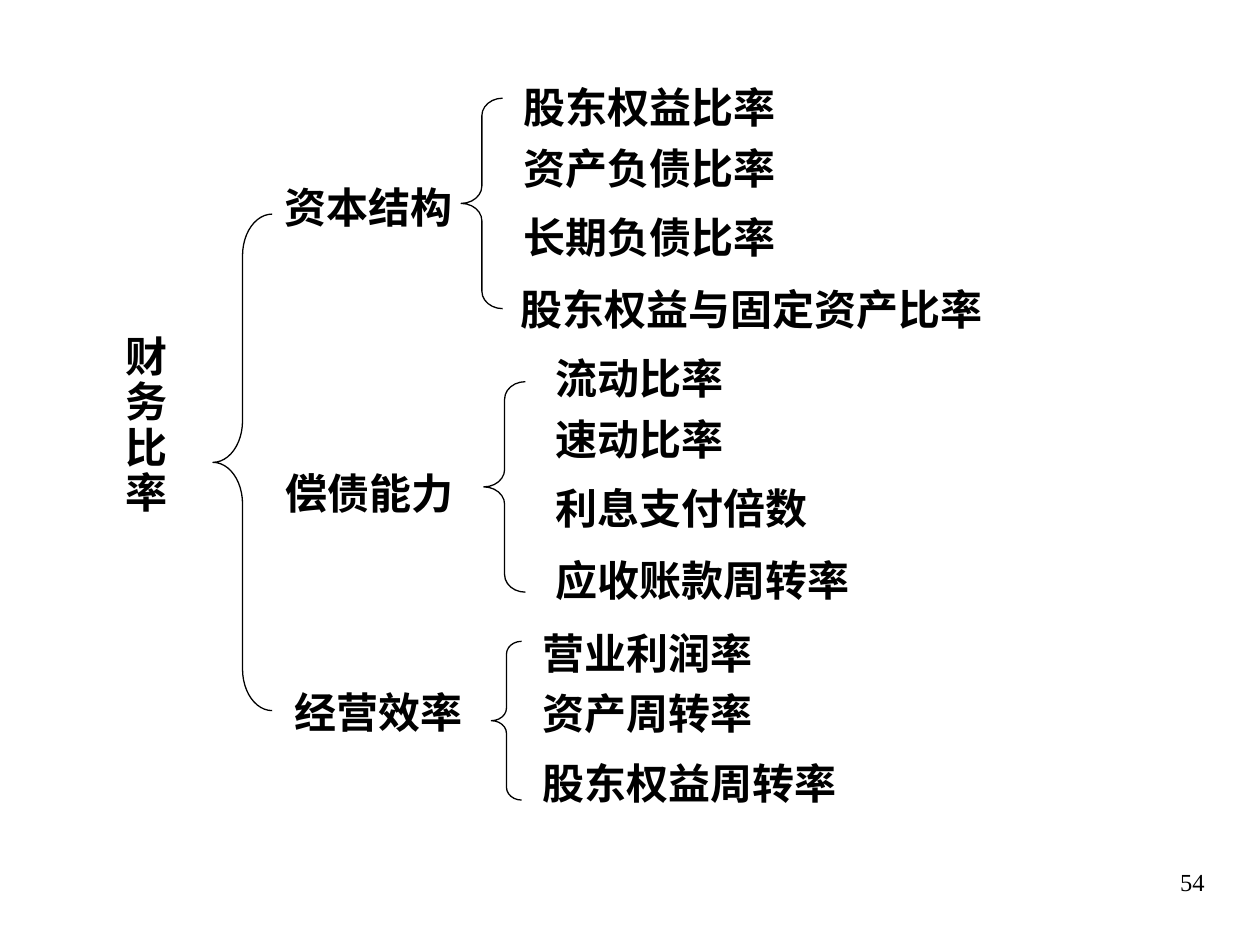
from lxml.etree import SubElement
from pptx import Presentation
from pptx.dml.color import RGBColor as RGB
from pptx.enum.shapes import MSO_SHAPE as SHAPE
from pptx.enum.text import MSO_AUTO_SIZE as FIT, PP_ALIGN as ALIGN
from pptx.oxml.ns import qn
from pptx.util import Inches, Pt

COLORS = {"ink": "000000", "paper": "FFFFFF"}
CJK = "Noto Sans CJK SC"

prs = Presentation()
prs.slide_width, prs.slide_height = Inches(10), Inches(7.5)
COL, ROW = prs.slide_width / 100, prs.slide_height / 75
s = prs.slides.add_slide(prs.slide_layouts[6])
s.background.fill.solid()
s.background.fill.fore_color.rgb = RGB.from_string(COLORS["paper"])


def add_text(text, x, y, w, h=5, font=CJK, size=24, bold=True):
    sp = s.shapes.add_textbox(round(x * COL), round(y * ROW), round(w * COL), round(h * ROW))
    tf = sp.text_frame
    tf.word_wrap = True
    tf.auto_size = FIT.SHAPE_TO_FIT_TEXT if bold else FIT.NONE
    p = tf.paragraphs[0]
    r = p.add_run()
    r.text = text
    r.font.size, r.font.bold, r.font.name = Pt(size), bold, font
    r.font.color.rgb = RGB.from_string(COLORS["ink"])
    if bold:
        SubElement(r.font._element, qn("a:ea"), typeface=CJK)
    return p


def add_brace(x, y, w, h, curve):
    sp = s.shapes.add_shape(SHAPE.LEFT_BRACE, round(x * COL), round(y * ROW), round(w * COL), round(h * ROW))
    sp.shadow.inherit = False
    sp.fill.background()
    sp.line.color.rgb = RGB.from_string(COLORS["ink"])
    sp.line.width = Pt(0.75)
    sp.adjustments[0] = curve


p = add_text("财务比率", 9, 26.2, 7.1, 15.4)
p.line_spacing = 0.9
add_brace(16.9, 17, 4.7, 39.4, 0.7)

GROUPS = [
    (("资本结构", 21.6, 13.9, 30), (36.6, 7.8, 3.3, 16.7), 6, [
        ("股东权益比率", 40.6, 25.9, CJK),
        ("资产负债比率", 40.6, 22.8, "Arial"),
        ("长期负债比率", 40.6, 23.6, CJK),
        ("股东权益与固定资产比率", 40.3, 39, "Arial"),
    ]),
    (("偿债能力", 21.7, 36.6, 30), (38.4, 30.3, 3.3, 16.7), 27.5, [
        ("流动比率", 43.1, 21.7, CJK),
        ("速动比率", 43.1, 21.7, CJK),
        ("利息支付倍数", 43.1, 25.8, "Arial"),
        ("应收账款周转率", 43.1, 25.6, "Arial"),
    ]),
    (("经营效率", 22.4, 54, 16.5), (39, 50.9, 2.4, 12.6), 49.3, [
        ("营业利润率", 42.1, 22.9, CJK),
        ("资产周转率", 42.1, 19.7, CJK),
        ("股东权益周转率", 42.1, 25.6, CJK),
    ]),
]
OFFSETS = [0, 4.8, 10.3, 16]

for category, brace, top, ratios in GROUPS:
    add_text(*category)
    add_brace(*brace, 0.42)
    for (name, x, w, font), offset in zip(ratios, OFFSETS):
        add_text(name, x, top + offset, w, font=font)

p = add_text("54", 71.6, 68.3, 25, 5.2, "Times New Roman", 14, False)
p.alignment = ALIGN.RIGHT

prs.save("out.pptx")
